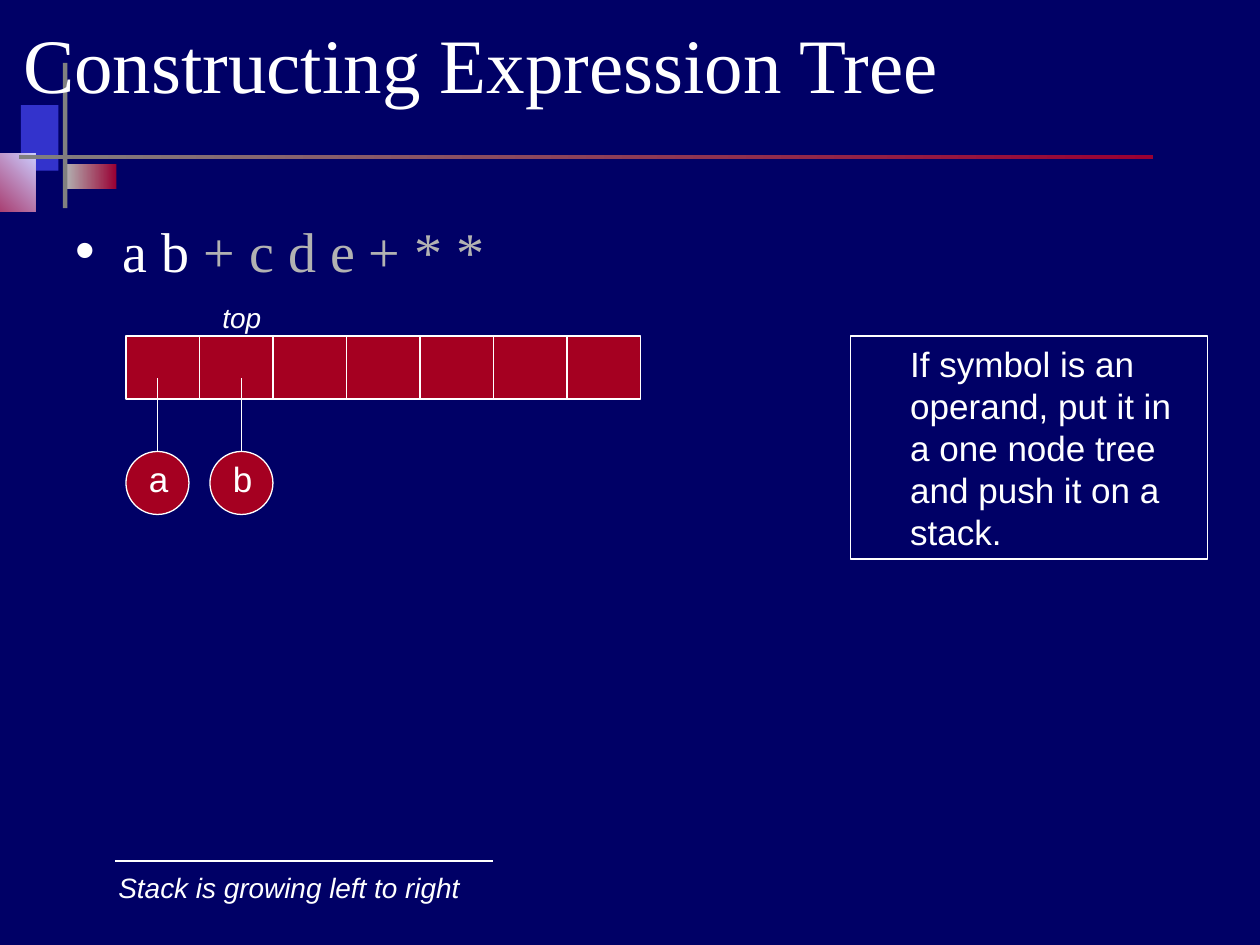
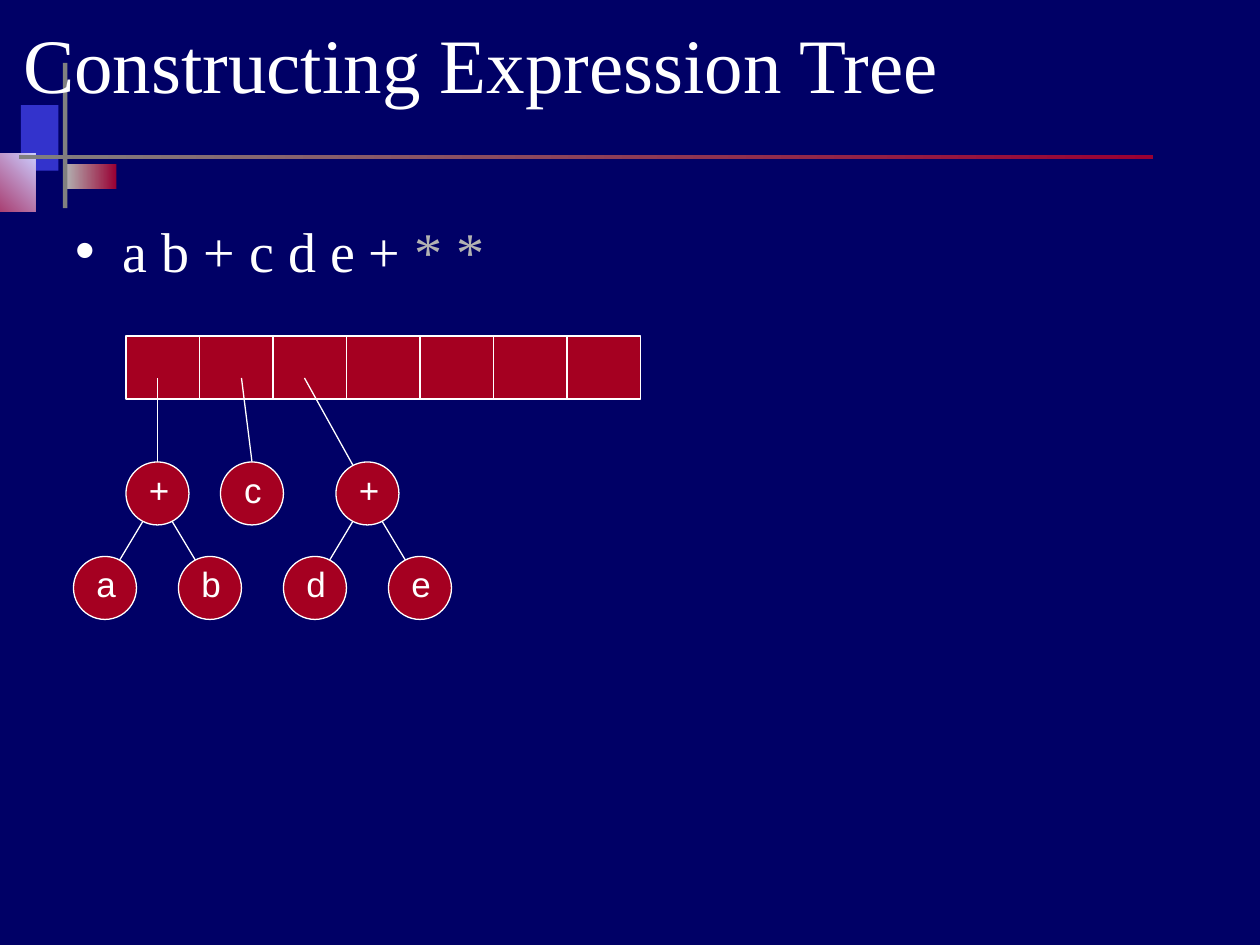
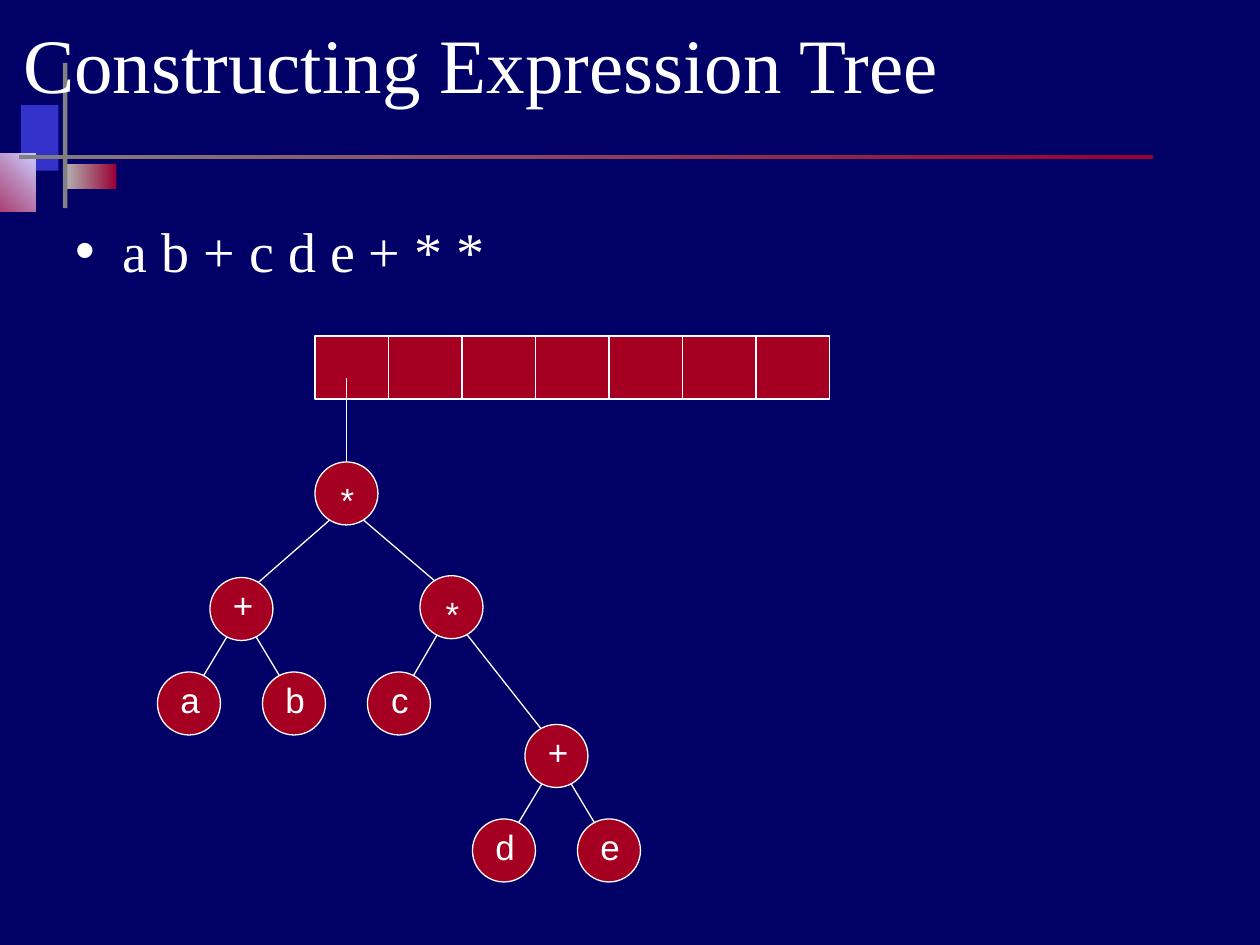
from dataclasses import dataclass

from lxml.etree import SubElement
from pptx import Presentation
from pptx.dml.color import RGBColor
from pptx.enum.shapes import MSO_CONNECTOR, MSO_SHAPE
from pptx.enum.text import MSO_ANCHOR, MSO_AUTO_SIZE, PP_ALIGN
from pptx.oxml.ns import qn
from pptx.util import Pt

NAVY = RGBColor(0x00, 0x00, 0x66)
WHITE = RGBColor(0xFF, 0xFF, 0xFF)
RED = RGBColor(0xA5, 0x00, 0x21)
WINE = RGBColor(0x99, 0x00, 0x33)
BLUE = RGBColor(0x33, 0x33, 0xCC)
PALE = RGBColor(0xCC, 0xCC, 0xFF)
GRAY = RGBColor(0x80, 0x80, 0x80)
DIM = RGBColor(0xB2, 0xB2, 0xB2)

SERIF = "Times New Roman"
SANS = "Arial"
HEAD = "Constructing Expression Tree"
THIN = Pt(0.75)
CELL, CELLS = 42, 7
TALL = 36
BAR_TOP = 192
STEM_TOP = 216
SIZE = 36
HALF = SIZE / 2

DECOR = [
    ((12, 60, 21.5, 37.5), [BLUE], 0),
    ((37.5, 93.5, 29, 14.5), [DIM, WINE], 0),
    ((-24, 87.5, 44.25, 33.5), [WINE, PALE], 45),
    ((36, 36, 2.5, 83), [GRAY], 0),
    ((11, 88.5, 648, 2.5), [GRAY, WINE], 0),
]


@dataclass
class Node:
    label: str
    x: float
    y: float
    kids: tuple = ()


def place(shape, left, top, width, height):
    shape.left, shape.top = Pt(left), Pt(top)
    shape.width, shape.height = Pt(width), Pt(height)


def style(run, font, size, color=WHITE, slant=None):
    run.font.name = font
    run.font.size = Pt(size)
    run.font.color.rgb = color
    run.font.italic = slant


def add_form(shapes, kind, box, fill=None, line=None):
    shape = shapes.add_shape(kind, *map(Pt, box))
    shape.shadow.inherit = False
    if fill is None:
        shape.fill.background()
    else:
        shape.fill.solid()
        shape.fill.fore_color.rgb = fill
    if line is None:
        shape.line.fill.background()
    else:
        shape.line.color.rgb = line
        shape.line.width = THIN
    return shape


def add_line(slide, x1, y1, x2, y2):
    line = slide.shapes.add_connector(
        MSO_CONNECTOR.STRAIGHT, Pt(x1), Pt(y1), Pt(x2), Pt(y2))
    line.line.color.rgb = WHITE
    line.line.width = THIN
    SubElement(line.element.spPr, qn("a:effectLst"))


def add_label(shapes, text, box, size, align, slant=None):
    label = shapes.add_textbox(*map(Pt, box))
    frame = label.text_frame
    frame.word_wrap = False
    frame.text = text
    frame.paragraphs[0].alignment = align
    style(frame.paragraphs[0].runs[0], SANS, size, slant=slant)


def add_decor(deck, slide):
    master = deck.slide_master
    master.background.fill.solid()
    master.background.fill.fore_color.rgb = NAVY
    for i, (box, tones, angle) in enumerate(DECOR):
        shape = add_form(slide.shapes, MSO_SHAPE.RECTANGLE, box, tones[0])
        if len(tones) > 1:
            shape.fill.gradient()
            shape.fill.gradient_angle = angle
            for stop, tone in zip(shape.fill.gradient_stops, tones):
                stop.color.rgb = tone
        shape.element.nvSpPr.cNvPr.set("id", str(20 + i))
        master.shapes.element.insert(2 + i, shape.element)


def add_slide(deck, done, rest=""):
    slide = deck.slides.add_slide(deck.slide_layouts[1])
    title, body = slide.placeholders
    place(title, 6, 0, 648, 72)
    frame = title.text_frame
    frame.text = HEAD
    frame.auto_size = MSO_AUTO_SIZE.NONE
    frame.vertical_anchor = MSO_ANCHOR.MIDDLE
    frame.paragraphs[0].alignment = PP_ALIGN.LEFT
    style(frame.paragraphs[0].runs[0], SERIF, 44)

    place(body, 36, 120, 648, 66)
    body.text_frame.auto_size = MSO_AUTO_SIZE.NONE
    para = body.text_frame.paragraphs[0]
    para.space_before = Pt(0)
    for text, color in ((done, WHITE), (rest, DIM)):
        if text:
            run = para.add_run()
            run.text = text
            style(run, SERIF, 32, color)
    return slide


def add_stack(slide, left):
    add_form(slide.shapes, MSO_SHAPE.RECTANGLE,
             (left, BAR_TOP, CELL * CELLS, TALL), RED, WHITE)
    for i in range(1, CELLS):
        x = left + i * CELL
        add_line(slide, x, BAR_TOP, x, BAR_TOP + TALL)


def add_node(slide, node):
    left, top = node.x - HALF, node.y - HALF
    group = slide.shapes.add_group_shape()
    add_form(group.shapes, MSO_SHAPE.OVAL, (left, top, SIZE, SIZE), RED, WHITE)
    drop = 6 if node.label == "*" else 0
    add_label(group.shapes, node.label, (left + 6, top + drop, 25, 31.5),
              20, PP_ALIGN.CENTER)


def add_tree(slide, node):
    for kid in node.kids:
        side = 6 if kid.x > node.x else -6
        add_line(slide, node.x + side, node.y + 12, kid.x - side, kid.y - 12)
        add_tree(slide, kid)
    add_node(slide, node)


def add_root(slide, start, node, end=None):
    x, y = end or (node.x, 264)
    add_line(slide, start, STEM_TOP, x, y)
    add_tree(slide, node)


def add_pair(label, x, y, left, right):
    kids = (Node(left, x - 30, y + 54), Node(right, x + 30, y + 54))
    return Node(label, x, y, kids)


def add_note(slide, text):
    note = add_form(slide.shapes, MSO_SHAPE.RECTANGLE,
                    (486, 192, 204, 127.5), None, WHITE)
    frame = note.text_frame
    frame.word_wrap = True
    frame.vertical_anchor = MSO_ANCHOR.TOP
    frame.text = text
    para = frame.paragraphs[0]
    para.alignment = PP_ALIGN.LEFT
    para._p.get_or_add_pPr().set("marL", str(Pt(27)))
    style(para.runs[0], SANS, 20)


def main():
    deck = Presentation()
    deck.slide_width, deck.slide_height = Pt(720), Pt(540)

    push = add_slide(deck, "a b ", "+ c d e + * *")
    add_decor(deck, push)
    add_stack(push, 72)
    for label, x in (("a", 90), ("b", 138)):
        add_root(push, x, Node(label, x, 276))
    add_label(push.shapes, "Stack is growing left to right",
              (60.5, 494, 209.5, 26.5), 16, PP_ALIGN.CENTER, True)
    add_line(push, 66, 492, 282, 492)
    add_note(push, "If symbol is an operand, put it in a one node tree "
                   "and push it on a stack.")
    add_label(push.shapes, "top", (120, 168, 54, 26.5), 16, PP_ALIGN.LEFT, True)

    join = add_slide(deck, "a b + c d e +", " * *")
    add_stack(join, 72)
    add_root(join, 90, add_pair("+", 90, 282, "a", "b"))
    add_root(join, 138, Node("c", 144, 282))
    add_root(join, 174, add_pair("+", 210, 282, "d", "e"), (204, 270))

    full = add_slide(deck, "a b + c d e + * *")
    add_stack(full, 180)
    sums = add_pair("+", 138, 348, "a", "b")
    last = add_pair("+", 318, 432, "d", "e")
    times = Node("*", 258, 347, (Node("c", 228, 402), last))
    add_root(full, 198, Node("*", 198, 282, (sums, times)))

    deck.save("out.pptx")


if __name__ == "__main__":
    main()
